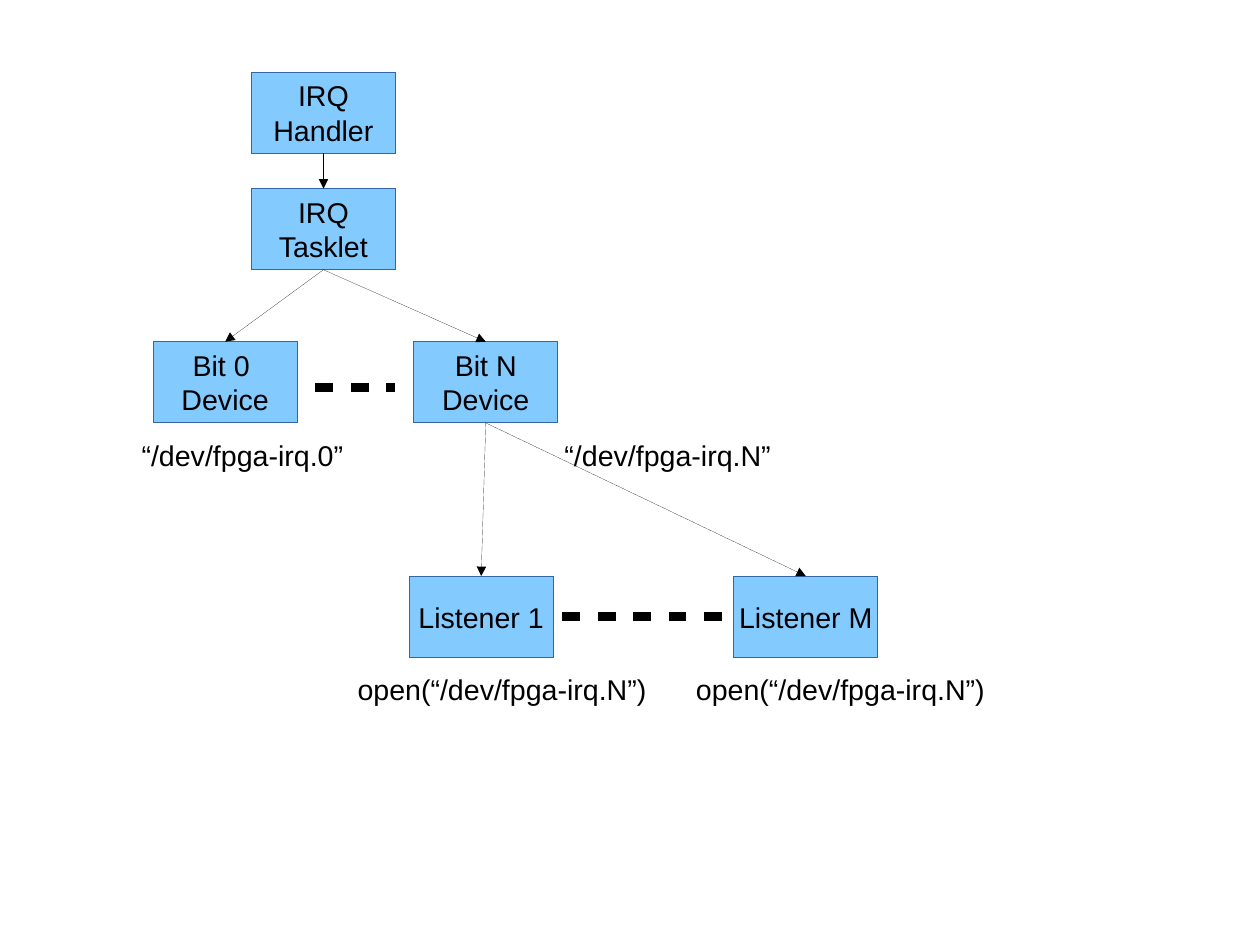
"""Build the slide showing how an interrupt reaches its listeners."""
from pptx import Presentation
from pptx.dml.color import RGBColor
from pptx.enum import shapes, text
from pptx.oxml import xmlchemy
from pptx.util import Inches, Pt

STAGES = {
    "handler": ("IRQ\nHandler", 2.2, 0.63),
    "tasklet": ("IRQ\nTasklet", 2.2, 1.65),
    "bit 0": ("Bit 0 \nDevice", 1.34, 2.99),
    "bit N": ("Bit N\nDevice", 3.62, 2.99),
    "listener 1": ("Listener 1", 3.58, 5.04),
    "listener M": ("Listener M", 6.42, 5.04),
}
CALLS = [
    ("handler", "tasklet"),
    ("tasklet", "bit 0"),
    ("tasklet", "bit N"),
    ("bit N", "listener 1"),
    ("bit N", "listener M"),
]
CAPTIONS = [
    ("“/dev/fpga-irq.0”", 1.14, 3.78, 1.98),
    ("“/dev/fpga-irq.N”", 4.84, 3.78, 2.02),
    ("open(“/dev/fpga-irq.N”)", 3.03, 5.83, 2.74),
    ("open(“/dev/fpga-irq.N”)", 5.99, 5.83, 2.74),
]
CM_PER_INCH = 2.54
STAGE_WIDTH, STAGE_HEIGHT, CAPTION_HEIGHT = 1.26, 0.71, 0.38
TOP, LEFT, BOTTOM = 0, 1, 2
SKY, NAVY, BLACK = "83CAFF", "3465A4", "000000"


def color(value):
    return RGBColor.from_string(value)


def write(frame, wording, align):
    frame.word_wrap = False
    frame.text = wording
    for paragraph in frame.paragraphs:
        paragraph.alignment = align
        paragraph.font.name = "Arial"
        paragraph.font.size = Pt(18)
        paragraph.font.color.rgb = color(BLACK)


def add_element(parent, tag, **attributes):
    element = xmlchemy.OxmlElement(tag)
    for name, value in attributes.items():
        element.set(name, value)
    parent.append(element)
    return element


def outline(part, value, width):
    part.line.color.rgb = color(value)
    stroke = part.line._get_or_add_ln()
    stroke.set("w", str(Pt(width)))
    return stroke


def add_stage(slide, wording, left, top):
    stage = slide.shapes.add_shape(
        shapes.MSO_SHAPE.RECTANGLE,
        Inches(left), Inches(top), Inches(STAGE_WIDTH), Inches(STAGE_HEIGHT))
    stage.shadow.inherit = False
    stage.fill.solid()
    stage.fill.fore_color.rgb = color(SKY)
    outline(stage, NAVY, 0)
    stage.text_frame.vertical_anchor = text.MSO_ANCHOR.MIDDLE
    write(stage.text_frame, wording, text.PP_ALIGN.CENTER)
    return stage


def add_line(slide, x1, y1, x2, y2, width):
    line = slide.shapes.add_connector(
        shapes.MSO_CONNECTOR.STRAIGHT, x1, y1, x2, y2)
    stroke = outline(line, BLACK, width)
    add_element(line._element.spPr, "a:effectLst")
    return line, stroke


def add_ellipsis(slide, x1, x2, y):
    ellipsis, stroke = add_line(slide, x1, y, x2, y, 5.67)
    pattern = add_element(stroke, "a:custDash")
    add_element(pattern, "a:ds", d="197000", sp="197000")
    return ellipsis


def add_call(slide, caller, callee):
    call, stroke = add_line(slide, 0, 0, 0, 0, 0)
    call.begin_connect(caller, BOTTOM)
    call.end_connect(callee, TOP)
    add_element(stroke, "a:tailEnd", type="triangle")


def main():
    deck = Presentation()
    deck.slide_width = Inches(28 / CM_PER_INCH)
    deck.slide_height = Inches(21 / CM_PER_INCH)
    slide = deck.slides.add_slide(deck.slide_layouts[6])

    stages = {key: add_stage(slide, *stage) for key, stage in STAGES.items()}

    device, listener = stages["bit 0"], stages["listener M"]
    add_ellipsis(slide, Inches(2.76), Inches(3.46), device.top + Inches(0.4))
    listeners = add_ellipsis(slide, Inches(4.92), listener.left,
                             listener.top + listener.height // 2)
    listeners.end_connect(listener, LEFT)

    for caller, callee in CALLS:
        add_call(slide, stages[caller], stages[callee])

    for wording, left, top, width in CAPTIONS:
        caption = slide.shapes.add_textbox(
            Inches(left), Inches(top), Inches(width), Inches(CAPTION_HEIGHT))
        write(caption.text_frame, wording, text.PP_ALIGN.LEFT)
        caption.text_frame.auto_size = text.MSO_AUTO_SIZE.SHAPE_TO_FIT_TEXT

    deck.save("out.pptx")


if __name__ == "__main__":
    main()
